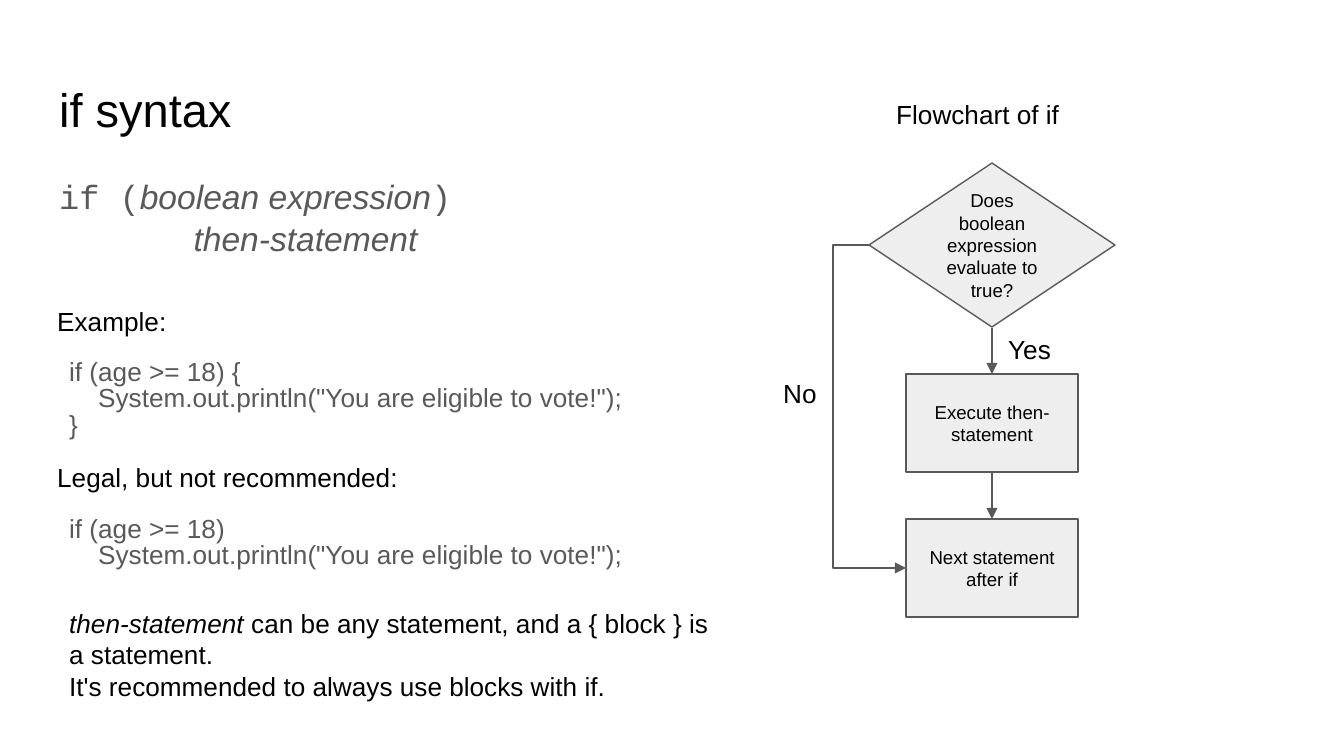
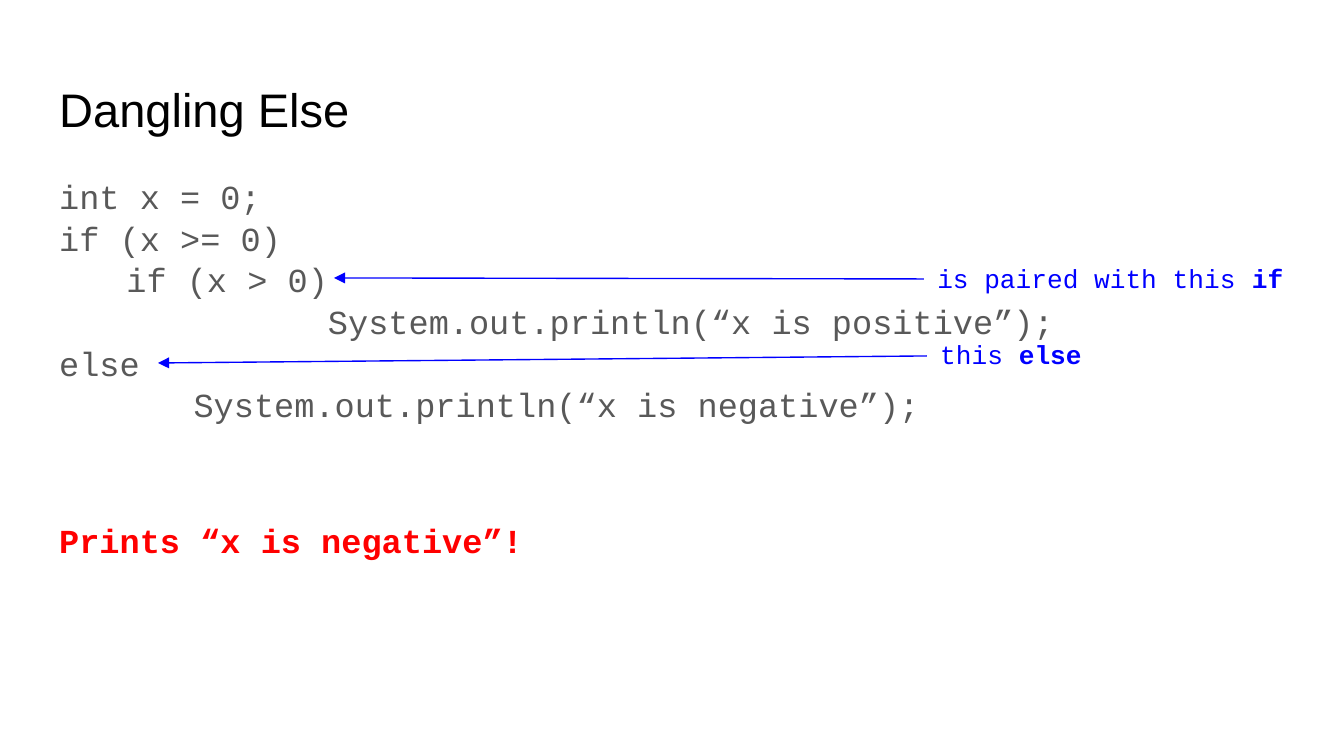
from dataclasses import dataclass
from typing import NamedTuple

from lxml.etree import SubElement
from pptx import Presentation
from pptx.dml.color import RGBColor
from pptx.enum.shapes import MSO_CONNECTOR, MSO_SHAPE
from pptx.enum.text import MSO_ANCHOR, MSO_AUTO_SIZE, PP_ALIGN
from pptx.oxml.ns import qn
from pptx.util import Emu, Pt

SANS, MONO = "Arial", "Courier New"
BLACK, GRAY, PALE, BLUE, RED = "000000", "595959", "EEEEEE", "0000FF", "FF0000"
INSET = 13.44
INCH = 134.4


def px(n: float) -> Emu:
    return Emu(round(n * 914400 / INCH))


def rgb(value: str) -> RGBColor:
    return RGBColor.from_string(value)


class Run(NamedTuple):
    text: str
    fmt: dict = {}


class Para(NamedTuple):
    runs: list
    indent: float = 0
    fmt: dict = {}


@dataclass
class Style:
    size: float = 14
    color: str = BLACK
    font: str = SANS


@dataclass
class Label:
    x: int
    y: int
    w: int
    h: int
    paras: list
    style: Style
    anchor: MSO_ANCHOR = MSO_ANCHOR.TOP
    grow: bool = True


@dataclass
class Node:
    kind: MSO_SHAPE
    x: int
    y: int
    w: int
    h: int
    text: str


@dataclass
class Arrow:
    x1: int
    y1: int
    x2: int
    y2: int
    color: str = GRAY
    via_x: int | None = None


TITLE = Style(25.2)
NOTE = Style()
NODE = Style(10)
CODE = Style(14, GRAY)
SYNTAX = Style(18, GRAY, MONO)
RESULT = Style(18, RED, MONO)
CALLOUT = Style(14, BLUE, MONO)
ITALIC, BOLD = {"italic": True}, {"bold": True}
TIGHT = {"line_spacing": 0.84}
SPACED = {"line_spacing": 0.84, "space_before": Pt(4.2)}
CENTERED = {"alignment": PP_ALIGN.CENTER}


def plain(text: str, indent: float = 0, fmt: dict = {}) -> Para:
    return Para([Run(text)], indent, fmt)


def code_lines(*lines: tuple) -> list:
    return [plain(text, indent, TIGHT if i else SPACED)
            for i, (text, indent) in enumerate(lines)]


def set_all(target: object, values: dict) -> None:
    for name, value in values.items():
        setattr(target, name, value)


def write(tf, paras: list, style: Style, anchor: MSO_ANCHOR) -> None:
    set_all(tf, {"word_wrap": True, "vertical_anchor": anchor})
    set_all(tf, {f"margin_{side}": px(INSET)
                 for side in ("left", "right", "top", "bottom")})
    for i, para in enumerate(paras):
        p = tf.add_paragraph() if i else tf.paragraphs[0]
        set_all(p, para.fmt)
        if para.indent:
            p._p.get_or_add_pPr().set("marL", str(px(para.indent)))
        for run in para.runs:
            r = p.add_run()
            r.text = run.text
            set_all(r.font, {"name": style.font, "size": Pt(style.size), **run.fmt})
            r.font.color.rgb = rgb(style.color)


def draw_label(s, label: Label) -> None:
    sp = s.shapes.add_textbox(px(label.x), px(label.y), px(label.w), px(label.h))
    write(sp.text_frame, label.paras, label.style, label.anchor)
    if label.grow:
        sp.text_frame.auto_size = MSO_AUTO_SIZE.SHAPE_TO_FIT_TEXT


def draw_title(s, text: str, width: int) -> None:
    draw_label(s, Label(46, 66, width, 85, [plain(text)], TITLE, MSO_ANCHOR.MIDDLE, False))


def draw_node(s, node: Node) -> None:
    sp = s.shapes.add_shape(node.kind, px(node.x), px(node.y), px(node.w), px(node.h))
    sp.shadow.inherit = False
    sp.fill.solid()
    sp.fill.fore_color.rgb = rgb(PALE)
    sp.line.color.rgb = rgb(GRAY)
    sp.line.width = Pt(0.75)
    write(sp.text_frame, [plain(node.text, fmt=CENTERED)], NODE, MSO_ANCHOR.MIDDLE)


def draw_arrow(s, arrow: Arrow) -> None:
    kind = MSO_CONNECTOR.STRAIGHT if arrow.via_x is None else MSO_CONNECTOR.ELBOW
    sp = s.shapes.add_connector(kind, px(arrow.x1), px(arrow.y1), px(arrow.x2), px(arrow.y2))
    sp.line.color.rgb = rgb(arrow.color)
    sp.line.width = Pt(0.75)
    spPr = sp._element.spPr
    SubElement(spPr.find(qn("a:ln")), qn("a:tailEnd"), type="triangle")
    SubElement(spPr, qn("a:effectLst"))
    if arrow.via_x is not None:
        bend = round(100000 * (arrow.via_x - arrow.x1) / (arrow.x2 - arrow.x1))
        geom = spPr.find(qn("a:prstGeom"))
        guides = geom.find(qn("a:avLst"))
        if guides is None:
            guides = SubElement(geom, qn("a:avLst"))
        SubElement(guides, qn("a:gd"), name="adj1", fmla=f"val {bend}")


def build_if_syntax(s) -> None:
    draw_title(s, "if syntax", 505)
    syntax = [
        Para([Run("if ("), Run("boolean expression", {**ITALIC, "name": SANS}), Run(")")],
             0, SPACED),
        Para([Run("then-statement", {**ITALIC, "name": SANS})], INCH, SPACED),
    ]
    condition = "if (age >= 18)"
    body = ('System.out.println("You are eligible to vote!");', 29)
    advice = [
        Para([Run("then-statement", ITALIC),
              Run(" can be any statement, and a { block } is a statement.")]),
        plain("It's recommended to always use blocks with if."),
    ]
    for label in (
        Label(46, 169, 516, 114, syntax, SYNTAX, grow=False),
        Label(44, 292, 441, 59, [plain("Example:")], NOTE),
        Label(56, 347, 636, 103, code_lines((condition + " {", 0), body, ("}", 0)), CODE),
        Label(44, 448, 441, 59, [plain("Legal, but not recommended:")], NOTE),
        Label(56, 504, 636, 78, code_lines((condition, 0), body), CODE),
        Label(56, 594, 685, 122, advice, NOTE),
        Label(883, 85, 216, 59, [plain("Flowchart of if")], NOTE),
        Label(995, 320, 71, 59, [plain("Yes")], NOTE),
        Label(770, 364, 71, 59, [plain("No")], NOTE),
    ):
        draw_label(s, label)

    center, box_w, box_h, top, pitch = 992, 172, 98, 374, 145
    left = center - box_w // 2
    draw_node(s, Node(MSO_SHAPE.FLOWCHART_DECISION, 869, 163, 246, 164,
                      "Does boolean expression evaluate to true?"))
    for i, text in enumerate(("Execute then-statement", "Next statement after if")):
        y = top + i * pitch
        draw_node(s, Node(MSO_SHAPE.RECTANGLE, left, y, box_w, box_h, text))
        draw_arrow(s, Arrow(center, y - 46, center, y))
    draw_arrow(s, Arrow(869, 245, left, top + pitch + box_h // 2, via_x=833))


def build_dangling_else(s) -> None:
    draw_title(s, "Dangling Else", 1253)
    listing = [
        ("int x = 0;", 0),
        ("if (x >= 0)", 0),
        ("if (x > 0)", 0.5),
        ("System.out.println(“x is positive”);", 2),
        ("else", 0),
        ("System.out.println(“x is negative”);", 1),
    ]
    paras = [plain(text, inches * INCH, SPACED) for text, inches in listing]
    draw_label(s, Label(46, 169, 1253, 503, paras, SYNTAX, grow=False))
    result = Para([Run("Prints “x is negative”!", BOLD)], 0, SPACED)
    draw_label(s, Label(46, 513, 757, 59, [result], RESULT))
    for x, y, w, text, keyword, arrow in (
        (927, 325, 281, "this ", "else", Arrow(927, 356, 158, 363, BLUE)),
        (924, 249, 413, "is paired with this ", "if", Arrow(924, 279, 334, 278, BLUE)),
    ):
        draw_arrow(s, arrow)
        draw_label(s, Label(x, y, w, 59, [Para([Run(text), Run(keyword, BOLD)])], CALLOUT))


prs = Presentation()
prs.slide_width, prs.slide_height = px(1344), px(756)
for build in (build_if_syntax, build_dangling_else):
    build(prs.slides.add_slide(prs.slide_layouts[6]))
prs.save("out.pptx")
